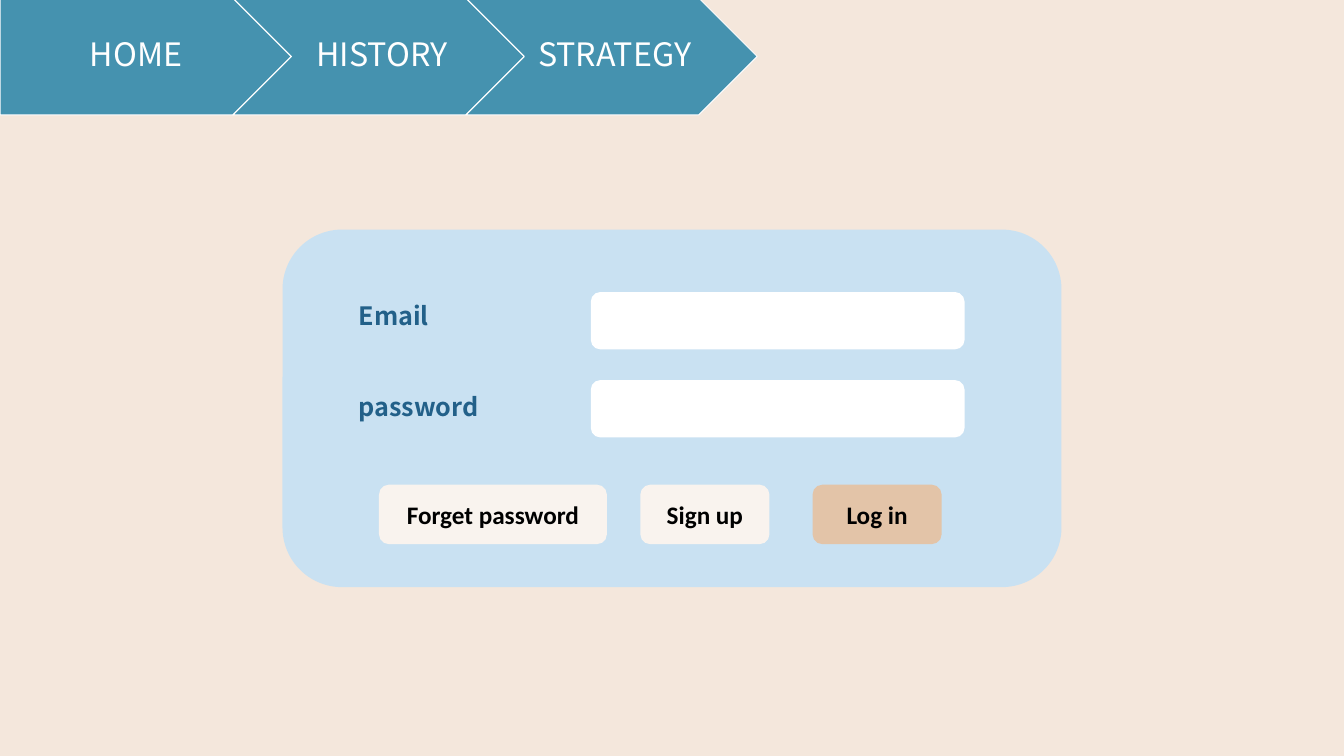
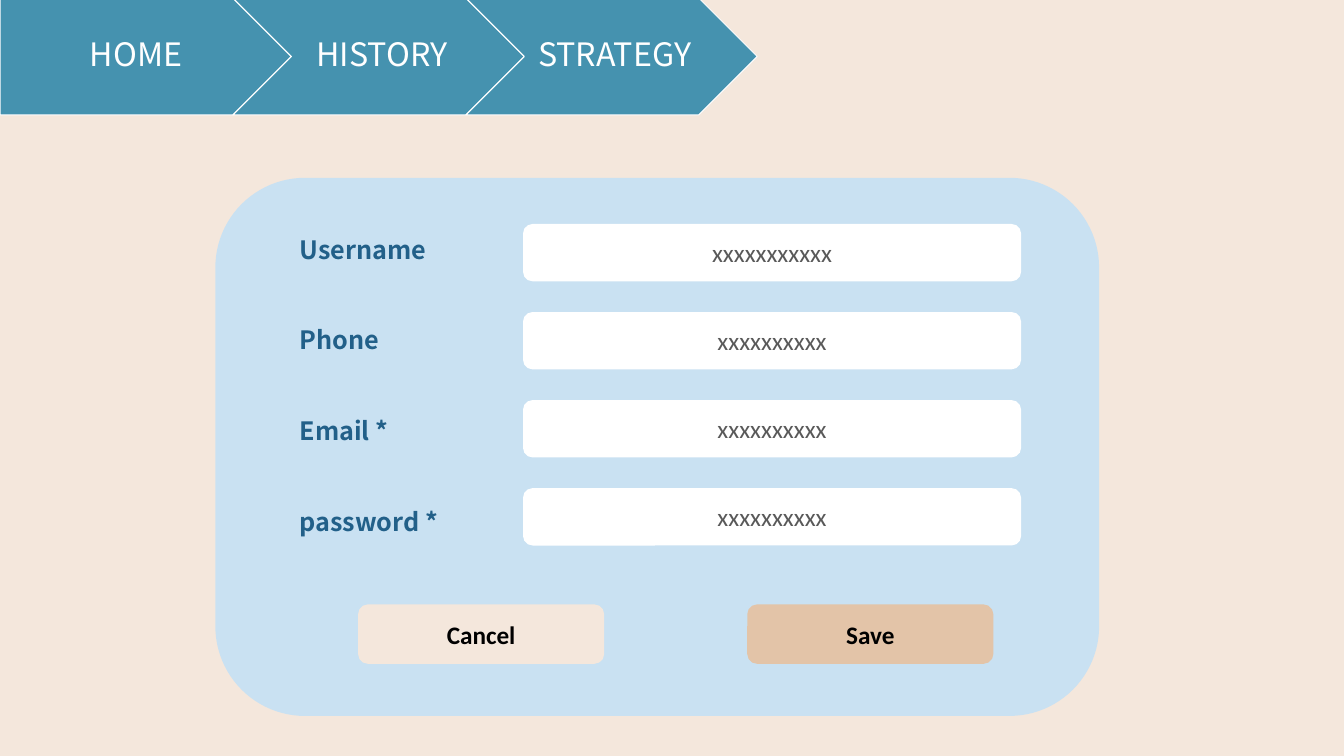
from pptx import Presentation
from pptx.dml.color import RGBColor
from pptx.enum.shapes import MSO_SHAPE as Preset
from pptx.enum.text import MSO_ANCHOR as Anchor, PP_ALIGN as Align
from pptx.util import Pt

SAND = RGBColor(0xF4, 0xE7, 0xDC)
CREAM = RGBColor(0xF9, 0xF3, 0xEE)
TAN = RGBColor(0xE3, 0xC4, 0xA8)
SKY = RGBColor(0xC9, 0xE1, 0xF2)
TEAL = RGBColor(0x45, 0x92, 0xAF)
NAVY = RGBColor(0x22, 0x60, 0x89)
GREY = RGBColor(0x59, 0x59, 0x59)
WHITE = RGBColor(0xFF, 0xFF, 0xFF)
BLACK = RGBColor(0, 0, 0)

HEADING_FONT = "Noto Sans CJK SC"
BODY_FONT = "Calibri"

NAV_ITEMS = ("HOME", "HISTORY", "STRATEGY")
NAV_BOX = (0, -1.4, 540.9, 83.5)
NAV_STEP = 166.4

FIELD_HEIGHT, FIELD_PITCH = 41, 62.9
LABEL_HEIGHT, LABEL_PITCH = 30, 64.8
BUTTON_HEIGHT = 42.5


def write(shape, text, font, size, color, bold=False, align=Align.CENTER):
    frame = shape.text_frame
    frame.word_wrap = True
    frame.vertical_anchor = Anchor.MIDDLE
    paragraph = frame.paragraphs[0]
    paragraph.alignment = align
    run = paragraph.add_run()
    run.text = text
    run.font.name = font
    run.font.size = Pt(size)
    run.font.bold = bold
    run.font.color.rgb = color


def add_block(slide, preset, box, fill):
    """Add a flat, borderless preset shape."""
    block = slide.shapes.add_shape(preset, *map(Pt, box))
    block.shadow.inherit = False
    block.fill.solid()
    block.fill.fore_color.rgb = fill
    block.line.fill.background()
    return block


def add_navigation(slide, box):
    left, top, width, height = box
    arrow_width = width - NAV_STEP * (len(NAV_ITEMS) - 1)
    for i, item in enumerate(NAV_ITEMS):
        arrow = add_block(slide, Preset.CHEVRON if i else Preset.PENTAGON,
                          (left + i * NAV_STEP, top, arrow_width, height), TEAL)
        arrow.line.color.rgb = WHITE
        arrow.line.width = Pt(0.75)
        write(arrow, item, HEADING_FONT, 23, WHITE)
        frame = arrow.text_frame
        frame.margin_left = Pt(7.2 if i else 9.4)
        frame.margin_right = Pt(2.2)
        frame.margin_top = frame.margin_bottom = Pt(5)
        frame.paragraphs[0].line_spacing = 0.9


def add_labels(slide, box, labels):
    left, top, width, height = box
    for i, label in enumerate(labels):
        label_box = slide.shapes.add_textbox(
            Pt(left), Pt(top + i * LABEL_PITCH), Pt(width), Pt(height))
        label_box.text_frame.margin_left = 0
        write(label_box, label, HEADING_FONT, 18, NAVY, True, Align.LEFT)


def add_fields(slide, box, values):
    left, top, width, height = box
    for i, value in enumerate(values):
        field = add_block(slide, Preset.ROUNDED_RECTANGLE,
                          (left, top + i * FIELD_PITCH, width, height), WHITE)
        if value:
            write(field, value, BODY_FONT, 18, GREY)


def add_form(slide, box, rows, label_at, field_at, field_width, buttons, button_top):
    """Draw a form; all offsets are measured from the panel's top left corner."""
    left, top, _, _ = box
    add_block(slide, Preset.ROUNDED_RECTANGLE, box, SKY)
    labels, values = zip(*rows)
    label_x, label_y = label_at
    field_x, field_y = field_at
    add_labels(slide, (left + label_x, top + label_y,
                       field_x - label_x - 10, LABEL_HEIGHT), labels)
    add_fields(slide, (left + field_x, top + field_y, field_width, FIELD_HEIGHT), values)
    for caption, button_x, button_width, fill in buttons:
        button = add_block(slide, Preset.ROUNDED_RECTANGLE,
                           (left + button_x, top + button_top,
                            button_width, BUTTON_HEIGHT), fill)
        write(button, caption, BODY_FONT, 18, BLACK, True)


def add_page(prs):
    slide = prs.slides.add_slide(prs.slide_layouts[6])
    add_navigation(slide, NAV_BOX)
    return slide


def add_login_page(prs):
    add_form(
        add_page(prs), (201.8, 164, 556.4, 255.4),
        rows=(("Email", ""), ("password", "")),
        label_at=(54.4, 46.5), field_at=(220.2, 44.6), field_width=267,
        buttons=(("Forget password", 68.9, 162.8, CREAM),
                 ("Sign up", 255.6, 92.2, CREAM),
                 ("Log in", 378.6, 92.2, TAN)),
        button_top=182.2)


def add_account_page(prs):
    add_form(
        add_page(prs), (153.8, 127, 631.3, 384.4),
        rows=(("Username", "xxxxxxxxxxx"), ("Phone", "xxxxxxxxxx"),
              ("Email *", "xxxxxxxxxx"), ("password *", "xxxxxxxxxx")),
        label_at=(60.2, 36), field_at=(219.8, 33), field_width=355.8,
        buttons=(("Cancel", 102, 175.8, SAND), ("Save", 380, 175.8, TAN)),
        button_top=304.7)


def main():
    prs = Presentation()
    prs.slide_width, prs.slide_height = Pt(960), Pt(540)
    backdrop = prs.slide_master.background.fill
    backdrop.solid()
    backdrop.fore_color.rgb = SAND
    add_login_page(prs)
    add_account_page(prs)
    prs.save("out.pptx")


if __name__ == "__main__":
    main()
